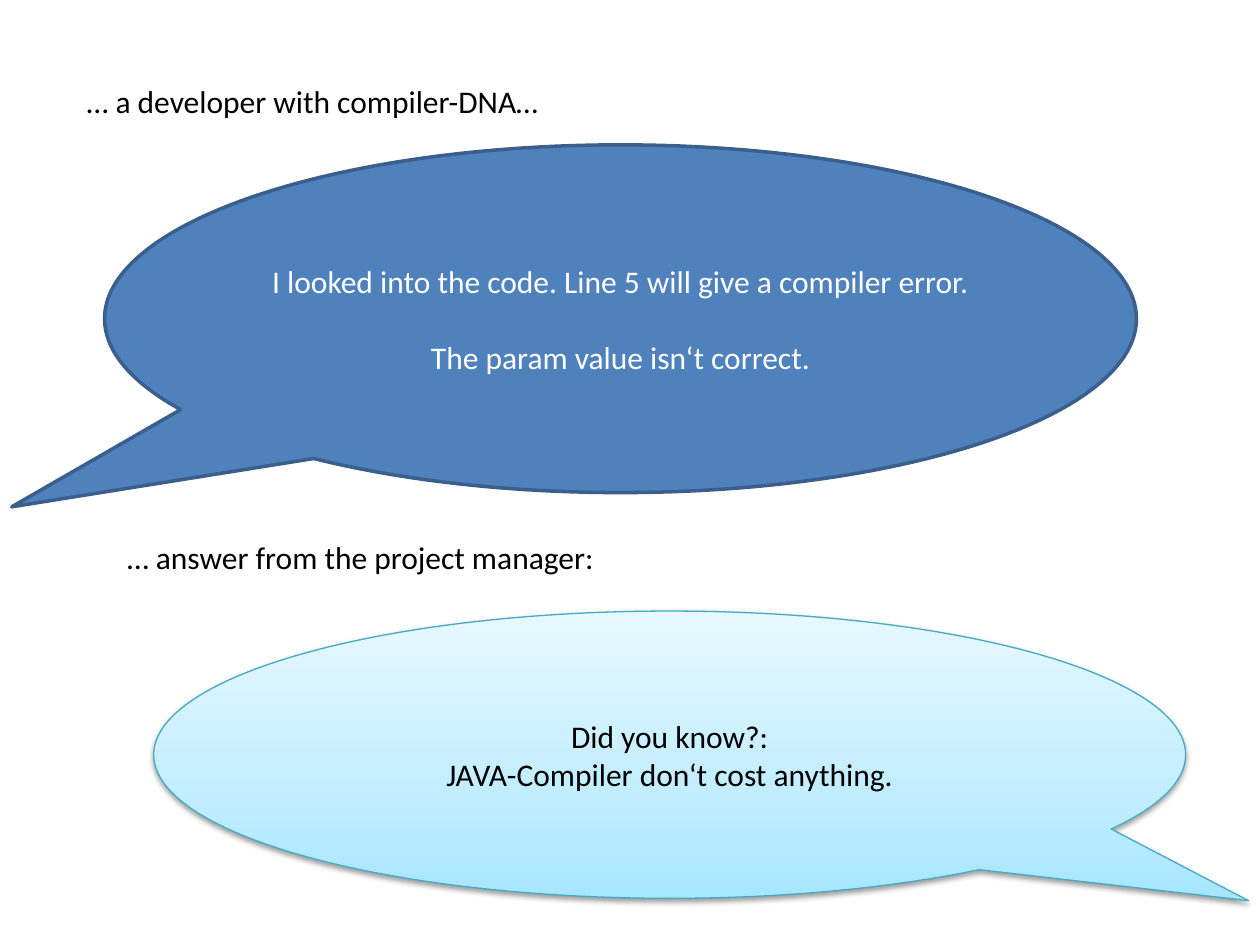
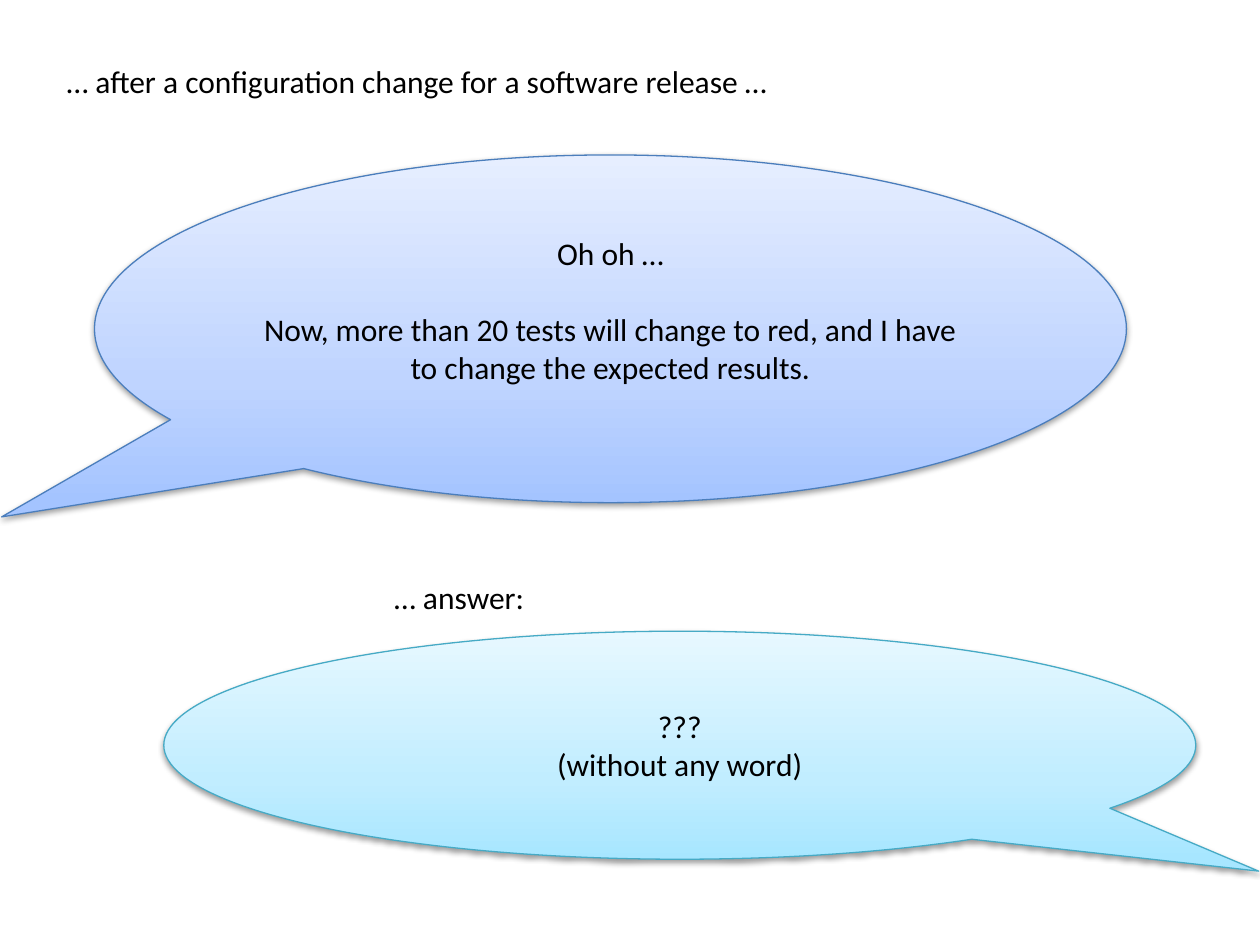
from lxml.etree import SubElement
from pptx import Presentation
from pptx.dml.color import RGBColor
from pptx.enum.shapes import MSO_SHAPE as SHAPE
from pptx.enum.text import MSO_ANCHOR as ANCHOR, MSO_AUTO_SIZE as AUTO_SIZE, PP_ALIGN as ALIGN
from pptx.oxml.ns import qn
from pptx.util import Inches, Pt

FONT = "Calibri"
FONT_SIZE = 18
BLANK_LINE = 22
BLACK = "000000"
WHITE = "FFFFFF"
BLUE = "4F81BD"
DARK_BLUE = "3A5F8C"
BLUE_LINE = "4B7EBC"
AQUA_LINE = "46AAC5"
STOPS = (0, 35, 100)
BLUE_GRADIENT = ("A4C4FF", "BFD4FF", "E6EEFF")
AQUA_GRADIENT = ("A7E6FF", "C1EDFF", "E7F8FF")
BUBBLE_WIDTH = 8.19
LEFT_TAIL = (-0.59, 0.541)


def rgb(color):
    """Return the colour of a hex string."""
    return RGBColor.from_string(color)


def write(tf, paragraphs, color, align):
    """Fill a text frame, keeping one line's height between paragraphs."""
    for i, text in enumerate(paragraphs):
        p = tf.paragraphs[0] if i == 0 else tf.add_paragraph()
        p.text = text
        p.alignment = align
        p.font.size = Pt(FONT_SIZE)
        if i < len(paragraphs) - 1:
            p.space_after = Pt(BLANK_LINE)
        for r in p.runs:
            r.font.name = FONT
            r.font.size = Pt(FONT_SIZE)
            r.font.color.rgb = rgb(color)


def add_caption(s, left, top, width, text):
    """Add a one-line caption that introduces a speech bubble."""
    box = s.shapes.add_textbox(Inches(left), Inches(top), Inches(width), Inches(0.4))
    tf = box.text_frame
    tf.word_wrap = False
    tf.auto_size = AUTO_SIZE.SHAPE_TO_FIT_TEXT
    write(tf, [text], BLACK, ALIGN.LEFT)


def add_bubble(s, left, top, height, tail, paragraphs, line, line_width=0.75, color=BLACK):
    """Add an oval speech bubble with centred text and return it."""
    sp = s.shapes.add_shape(SHAPE.OVAL_CALLOUT, Inches(left), Inches(top),
                            Inches(BUBBLE_WIDTH), Inches(height))
    sp.adjustments[0], sp.adjustments[1] = tail
    sp.shadow.inherit = False
    sp.line.color.rgb = rgb(line)
    sp.line.width = Pt(line_width)
    sp.text_frame.word_wrap = True
    sp.text_frame.vertical_anchor = ANCHOR.MIDDLE
    write(sp.text_frame, paragraphs, color, ALIGN.CENTER)
    return sp


def add_color(parent, color):
    """Append a colour element and return it."""
    return SubElement(parent, qn("a:srgbClr"), val=color)


def shade(sp, colors):
    """Give a bubble a vertical gradient and a soft shadow below."""
    sp.fill.gradient()
    sp.fill.gradient_angle = 90
    properties = sp.element.spPr
    stop_list = properties.find(".//" + qn("a:gsLst"))
    for stop in list(stop_list):
        stop_list.remove(stop)
    for position, color in zip(STOPS, colors):
        add_color(SubElement(stop_list, qn("a:gs"), pos=str(position * 1000)), color)
    shadow = SubElement(properties.find(qn("a:effectLst")), qn("a:outerShdw"),
                        blurRad=str(Pt(3.1)), dist=str(Pt(1.6)), dir="5400000", rotWithShape="0")
    SubElement(add_color(shadow, BLACK), qn("a:alpha"), val="38000")


def add_compiler_slide(s):
    """Build the dialogue about the compiler error."""
    add_caption(s, 0.59, 0.6, 3.83, "… a developer with compiler-DNA…")
    developer = add_bubble(s, 0.83, 1.15, 2.76, LEFT_TAIL, [
        "I looked into the code. Line 5 will give a compiler error.",
        "The param value isn‘t correct."], DARK_BLUE, 2, WHITE)
    developer.fill.solid()
    developer.fill.fore_color.rgb = rgb(BLUE)
    add_caption(s, 0.91, 4.22, 3.95, "… answer from the project manager:")
    manager = add_bubble(s, 1.22, 4.85, 2.28, (0.561, 0.508), [
        "Did you know?:\nJAVA-Compiler don‘t cost anything."], AQUA_LINE)
    shade(manager, AQUA_GRADIENT)


def add_release_slide(s):
    """Build the dialogue about the configuration change."""
    add_caption(s, 0.43, 0.44, 5.84, "… after a configuration change for a software release …")
    tester = add_bubble(s, 0.75, 1.23, 2.76, LEFT_TAIL, [
        "Oh oh …",
        "Now, more than 20 tests will change to red, and I have to change the expected results."],
        BLUE_LINE)
    tester.text_frame.margin_bottom = Inches(0.05) + Pt(BLANK_LINE)
    shade(tester, BLUE_GRADIENT)
    answer = add_bubble(s, 1.3, 5.01, 1.81, (0.561, 0.552), [
        "???\n(without any word)"], AQUA_LINE)
    shade(answer, AQUA_GRADIENT)
    add_caption(s, 3.03, 4.54, 1.25, "… answer:")


def main():
    """Build both slides and save the presentation."""
    prs = Presentation()
    prs.slide_width = Inches(10)
    prs.slide_height = Inches(7.5)
    for build in (add_compiler_slide, add_release_slide):
        build(prs.slides.add_slide(prs.slide_layouts[6]))
    prs.save("out.pptx")


if __name__ == "__main__":
    main()
